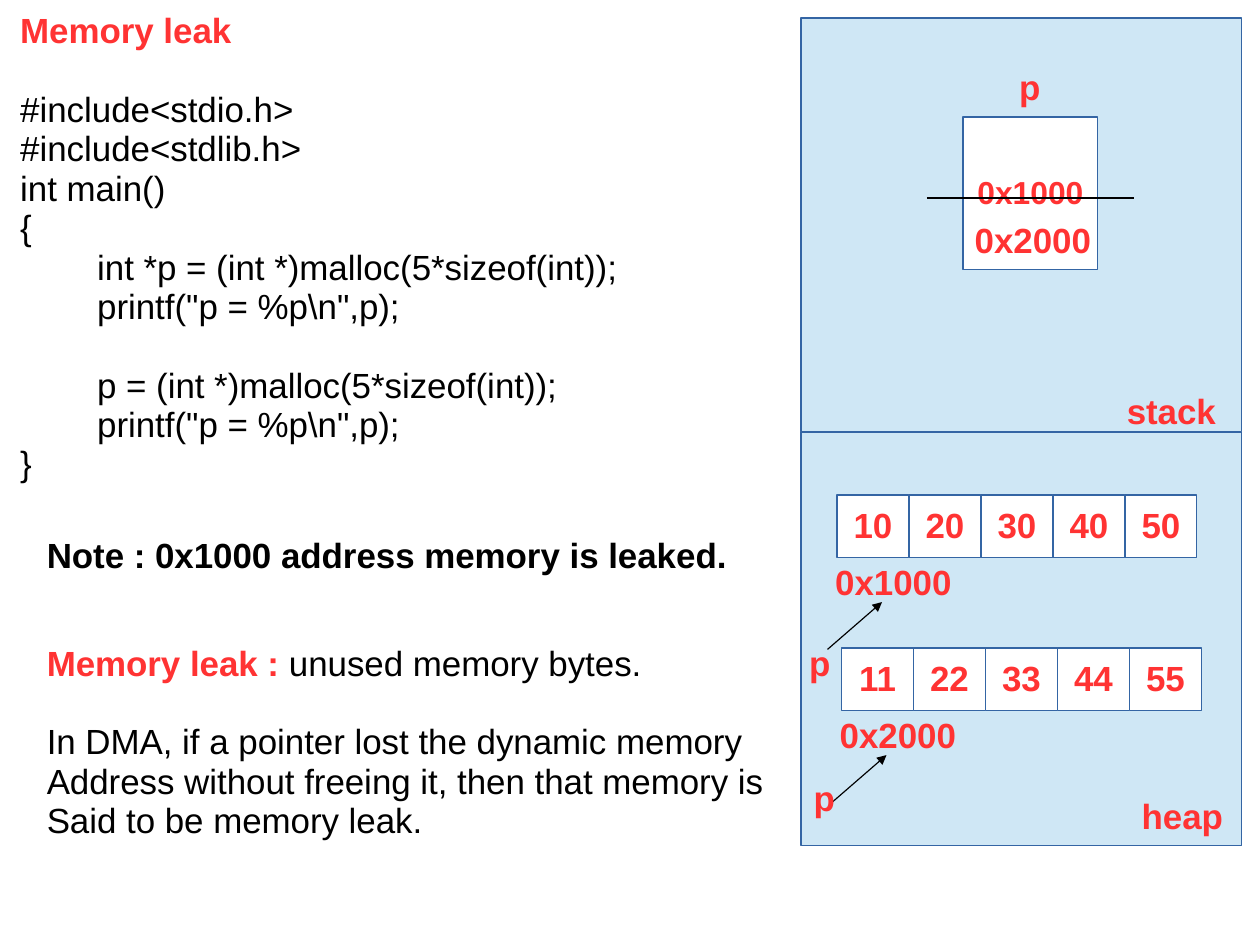
from pptx import Presentation
from pptx import util as u
from pptx.dml.color import RGBColor
from pptx.enum import shapes, text
from pptx.oxml.ns import qn
from lxml import etree

RED, BLACK, WHITE = "FF3333", "000000", "FFFFFF"
REGION_BLUE, BORDER_BLUE = "CFE7F5", "3465A4"
FONT_SIZE, LINE_SPACING, BLANK_LINE = 22, 0.94, 24.8
CELL_WIDTH, CELL_HEIGHT = 1.6, 1.4
LABEL_HEIGHT = 1.19
CODE_INDENT = 1.71


def rgb(hex_color):
    return RGBColor.from_string(hex_color)


def style(paragraph, color=RED, bold=True, size=FONT_SIZE):
    paragraph.line_spacing = LINE_SPACING
    font = paragraph.font
    font.name, font.size, font.bold = "Arial", u.Pt(size), bold
    font.color.rgb = rgb(color)


def add_lines(slide, left, top, width, height, lines):
    """Each line is (text, color, bold, blank line before, indent)."""
    frame = slide.shapes.add_textbox(u.Cm(left), u.Cm(top), u.Cm(width), u.Cm(height)).text_frame
    frame.word_wrap = True
    for number, (words, color, bold, gap, indent) in enumerate(lines):
        paragraph = frame.add_paragraph() if number else frame.paragraphs[0]
        paragraph.text = words
        style(paragraph, color, bold)
        if gap:
            paragraph.space_before = u.Pt(BLANK_LINE)
        if indent:
            properties = paragraph._p.get_or_add_pPr()
            properties.set("marL", str(u.Cm(indent)))
            properties.set("indent", "0")
    return frame


def add_label(slide, left, top, width, words):
    frame = add_lines(slide, left, top, width, LABEL_HEIGHT, [(words, RED, True, False, 0)])
    frame.word_wrap = False


def add_box(slide, left, top, width, height, fill=WHITE, words="", size=FONT_SIZE):
    box = slide.shapes.add_shape(shapes.MSO_SHAPE.RECTANGLE,
                                 u.Cm(left), u.Cm(top), u.Cm(width), u.Cm(height))
    box.shadow.inherit = False
    box.fill.solid()
    box.fill.fore_color.rgb = rgb(fill)
    box.line.color.rgb = rgb(BORDER_BLUE)
    box.line.width = u.Pt(0.74)
    if words:
        frame = box.text_frame
        frame.word_wrap = False
        frame.vertical_anchor = text.MSO_ANCHOR.MIDDLE
        paragraph = frame.paragraphs[0]
        paragraph.text = words
        paragraph.alignment = text.PP_ALIGN.CENTER
        style(paragraph, size=size)


def add_line(slide, x1, y1, x2, y2, arrow=False):
    line = slide.shapes.add_connector(shapes.MSO_CONNECTOR.STRAIGHT,
                                      u.Cm(x1), u.Cm(y1), u.Cm(x2), u.Cm(y2))
    line.line.color.rgb = rgb(BLACK)
    line.line.width = u.Pt(0.74)
    properties = line._element.spPr
    if arrow:
        etree.SubElement(properties.find(qn("a:ln")), qn("a:tailEnd"), type="triangle")
    etree.SubElement(properties, qn("a:effectLst"))


def add_heap_block(slide, left, top, values, address, pointer_drop):
    """Cells of one allocation, its address and the arrow from p."""
    for column, value in enumerate(values):
        add_box(slide, left + column * CELL_WIDTH, top, CELL_WIDTH, CELL_HEIGHT, words=str(value))
    add_label(slide, left - 0.29, top + 1.42, 3.1, address)
    add_line(slide, left - 0.21, top + 3.43, left + 1, top + 2.38, arrow=True)
    add_label(slide, left - 0.87, top + pointer_drop, 0.97, "p")


def main():
    deck = Presentation()
    deck.slide_width, deck.slide_height = u.Cm(28), u.Cm(21)
    slide = deck.slides.add_slide(deck.slide_layouts[6])

    # Title and program
    add_lines(slide, 0.2, 0.15, 14.66, 10.82, [
        ("Memory leak", RED, True, False, 0),
        ("#include<stdio.h>", BLACK, False, True, 0),
        ("#include<stdlib.h>", BLACK, False, False, 0),
        ("int main()", BLACK, False, False, 0),
        ("{", BLACK, False, False, 0),
        ("int *p = (int *)malloc(5*sizeof(int));", BLACK, False, False, CODE_INDENT),
        (r'printf("p = %p\n",p);', BLACK, False, False, CODE_INDENT),
        ("p = (int *)malloc(5*sizeof(int));", BLACK, False, True, CODE_INDENT),
        (r'printf("p = %p\n",p);', BLACK, False, False, CODE_INDENT),
        ("}", BLACK, False, False, 0),
    ])

    # Memory regions
    for top in (9.6, 0.4):
        add_box(slide, 17.8, top, 9.8, 9.2, REGION_BLUE)
    add_label(slide, 24.79, 8.61, 2.49, "stack")
    add_label(slide, 25.12, 17.6, 2.31, "heap")

    # Pointer on the stack, with its old address struck out
    add_box(slide, 21.4, 2.6, 3, 3.4, words="0x1000", size=20)
    add_label(slide, 22.4, 1.42, 0.97, "p")
    add_line(slide, 20.6, 4.4, 25.2, 4.4)
    add_label(slide, 21.41, 4.8, 3.1, "0x2000")

    # Allocations on the heap
    add_heap_block(slide, 18.6, 11, (10, 20, 30, 40, 50), "0x1000", 3.2)
    add_heap_block(slide, 18.7, 14.4, (11, 22, 33, 44, 55), "0x2000", 2.82)

    # Note and definition
    add_lines(slide, 0.79, 11.81, 15.85, LABEL_HEIGHT, [
        ("Note : 0x1000 address memory is leaked.", BLACK, True, False, 0)])
    definition = add_lines(slide, 0.79, 14.2, 16.84, 4.67, [
        ("Memory leak : ", RED, True, False, 0),
        ("In DMA, if a pointer lost the dynamic memory", BLACK, False, True, 0),
        ("Address without freeing it, then that memory is", BLACK, False, False, 0),
        ("Said to be memory leak.", BLACK, False, False, 0),
    ])
    meaning = definition.paragraphs[0].add_run()
    meaning.text = "unused memory bytes."
    meaning.font.bold = False
    meaning.font.color.rgb = rgb(BLACK)

    deck.save("out.pptx")


main()
